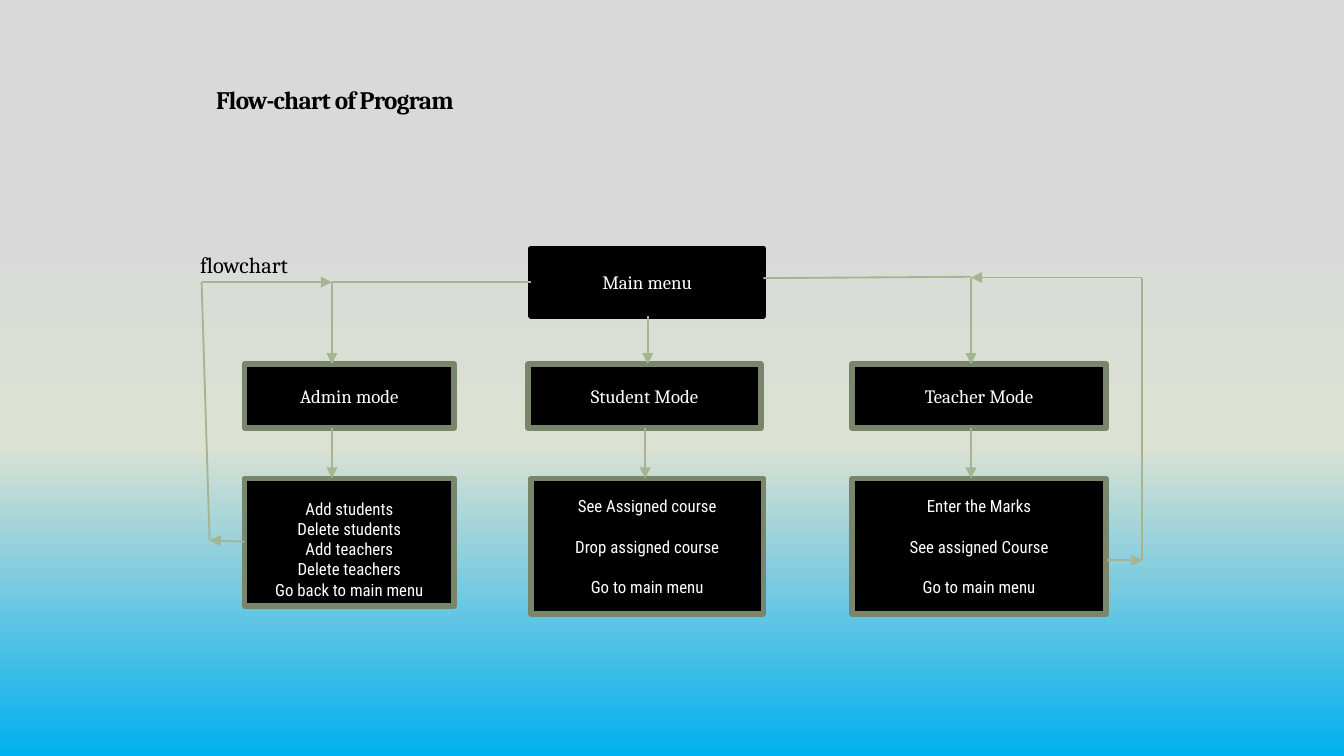
from lxml.etree import SubElement
from pptx import Presentation
from pptx.dml.color import RGBColor
from pptx.enum.shapes import MSO_CONNECTOR, MSO_SHAPE
from pptx.enum.text import MSO_ANCHOR, PP_ALIGN
from pptx.oxml import parse_xml
from pptx.oxml.ns import nsdecls, qn
from pptx.util import Pt

COLORS = {
    "black": "000000", "white": "FFFFFF", "border": "7A866C", "arrow": "A5B592",
    "grey": "D9D9D9", "sage": "DBE1D3", "sky": "00B0F0",
}
BACKGROUND = [(27, "grey"), (59, "sage"), (100, "sky")]
SERIF, CONDENSED = "Cambria", "Roboto Condensed"

TITLE = "Flow-chart of Program"
LABEL = "flowchart"
MENU = ("Main menu", 284.4, 124.6)
MODES = [
    {"name": "Admin mode", "left": 131, "width": 112.3,
     "task_left": 131, "task_height": 68.4, "gap": 0, "anchor": MSO_ANCHOR.BOTTOM,
     "tasks": ["Add students", "Delete students", "Add teachers",
               "Delete teachers", "Go back to main menu"]},
    {"name": "Student Mode", "left": 283, "width": 124.6,
     "task_left": 284.4, "task_height": 72.7, "gap": 10.8, "anchor": MSO_ANCHOR.MIDDLE,
     "tasks": ["See Assigned course", "Drop assigned course", "Go to main menu"]},
    {"name": "Teacher Mode", "left": 456.5, "width": 136,
     "task_left": 456.5, "task_height": 72.7, "gap": 10.8, "anchor": MSO_ANCHOR.MIDDLE,
     "tasks": ["Enter the Marks", "See assigned Course", "Go to main menu"]},
]
MENU_TOP, MENU_HEIGHT = 133.2, 36
MODE_TOP, MODE_HEIGHT = 195.1, 34.2
TASK_TOP = 256.3
ADMIN_X, STUDENT_X, TEACHER_X = 177.8, 345.6, 520.2
MENU_X, LEFT_X, RIGHT_X = 347, 108, 612
ADMIN_Y, TEACHER_Y = 151.2, 148.7

DOWN_ARROWS = [
    (ADMIN_X, ADMIN_Y, MODE_TOP),
    (MENU_X, MENU_TOP + MENU_HEIGHT, MODE_TOP),
    (TEACHER_X, TEACHER_Y, MODE_TOP),
] + [(x, MODE_TOP + MODE_HEIGHT, TASK_TOP) for x in (ADMIN_X, STUDENT_X, TEACHER_X)]
PLAIN_LINES = [
    (284.4, ADMIN_Y, ADMIN_X, ADMIN_Y),
    (409, 149, TEACHER_X, 148.3),
    (RIGHT_X, TEACHER_Y, RIGHT_X, 300.2),
    (LEFT_X, ADMIN_Y, 112.3, 289.5),
]
RETURN_ARROWS = [
    (LEFT_X, ADMIN_Y, ADMIN_X, ADMIN_Y),
    (RIGHT_X, TEACHER_Y, TEACHER_X, TEACHER_Y),
    (131, 290.2, 112.3, 289.5),
    (593.3, 300.2, RIGHT_X, 300.2),
]


def color(name):
    return RGBColor.from_string(COLORS[name])


def write(shape, lines, size=10.1, font=SERIF, ink="white", bold=False,
          align=PP_ALIGN.CENTER, anchor=MSO_ANCHOR.MIDDLE, gap=0,
          line_spacing=None, tracking=None):
    frame = shape.text_frame
    frame.word_wrap = True
    frame.vertical_anchor = anchor
    for index, line in enumerate(lines):
        para = frame.add_paragraph() if index else frame.paragraphs[0]
        para.alignment = align
        if line_spacing:
            para.line_spacing = line_spacing
        if index and gap:
            para.space_before = Pt(gap)
        span = para.add_run()
        span.text = line
        span.font.name, span.font.size, span.font.bold = font, Pt(size), bold
        span.font.color.rgb = color(ink)
        if tracking:
            span.font._element.set("spc", str(int(tracking * 100)))
    return frame


def add_box(page, left, top, width, height, lines, border="border", **style):
    box = page.shapes.add_shape(MSO_SHAPE.RECTANGLE, Pt(left), Pt(top), Pt(width), Pt(height))
    box.shadow.inherit = False
    box.fill.solid()
    box.fill.fore_color.rgb = color("black")
    box.line.color.rgb = color(border)
    box.line.width = Pt(3)
    write(box, lines, **style)


def add_line(page, x1, y1, x2, y2, arrow=False):
    line = page.shapes.add_connector(MSO_CONNECTOR.STRAIGHT, Pt(x1), Pt(y1), Pt(x2), Pt(y2))
    line.line.color.rgb = color("arrow")
    line.line.width = Pt(1)
    if arrow:
        SubElement(line.line._get_or_add_ln(), qn("a:tailEnd"), type="triangle")
    SubElement(line._element.spPr, qn("a:effectLst"))


def paint_background(page):
    fill = page.background.fill
    fill.gradient()
    fill.gradient_angle = 270
    stops = fill.gradient_stops._gsLst
    for stop in list(stops):
        stops.remove(stop)
    for position, name in BACKGROUND:
        stops.append(parse_xml(
            f'<a:gs {nsdecls("a")} pos="{position * 1000}">'
            f'<a:srgbClr val="{COLORS[name]}"/></a:gs>'))


def main():
    deck = Presentation()
    deck.slide_width, deck.slide_height = Pt(720), Pt(405)
    page = deck.slides.add_slide(deck.slide_layouts[6])
    paint_background(page)

    title = page.shapes.add_textbox(Pt(108.7), Pt(36.7), Pt(427), Pt(28.1))
    frame = write(title, [TITLE], size=13.5, ink="black", bold=True, align=PP_ALIGN.LEFT,
                  anchor=MSO_ANCHOR.BOTTOM, tracking=-0.4)
    frame.margin_top = Pt(7.2)
    label = page.shapes.add_textbox(Pt(100.1), Pt(127.4), Pt(520.6), Pt(218.2))
    write(label, [LABEL], size=12, ink="black", align=PP_ALIGN.LEFT,
          anchor=MSO_ANCHOR.TOP, line_spacing=1.25)

    name, left, width = MENU
    add_box(page, left, MENU_TOP, width, MENU_HEIGHT, [name], border="black")
    for mode in MODES:
        add_box(page, mode["left"], MODE_TOP, mode["width"], MODE_HEIGHT, [mode["name"]])
        add_box(page, mode["task_left"], TASK_TOP, mode["width"], mode["task_height"],
                mode["tasks"], size=9, font=CONDENSED, anchor=mode["anchor"], gap=mode["gap"])

    for x, top, bottom in DOWN_ARROWS:
        add_line(page, x, top, x, bottom, arrow=True)
    for ends in PLAIN_LINES:
        add_line(page, *ends)
    for ends in RETURN_ARROWS:
        add_line(page, *ends, arrow=True)

    deck.save("out.pptx")


if __name__ == "__main__":
    main()
